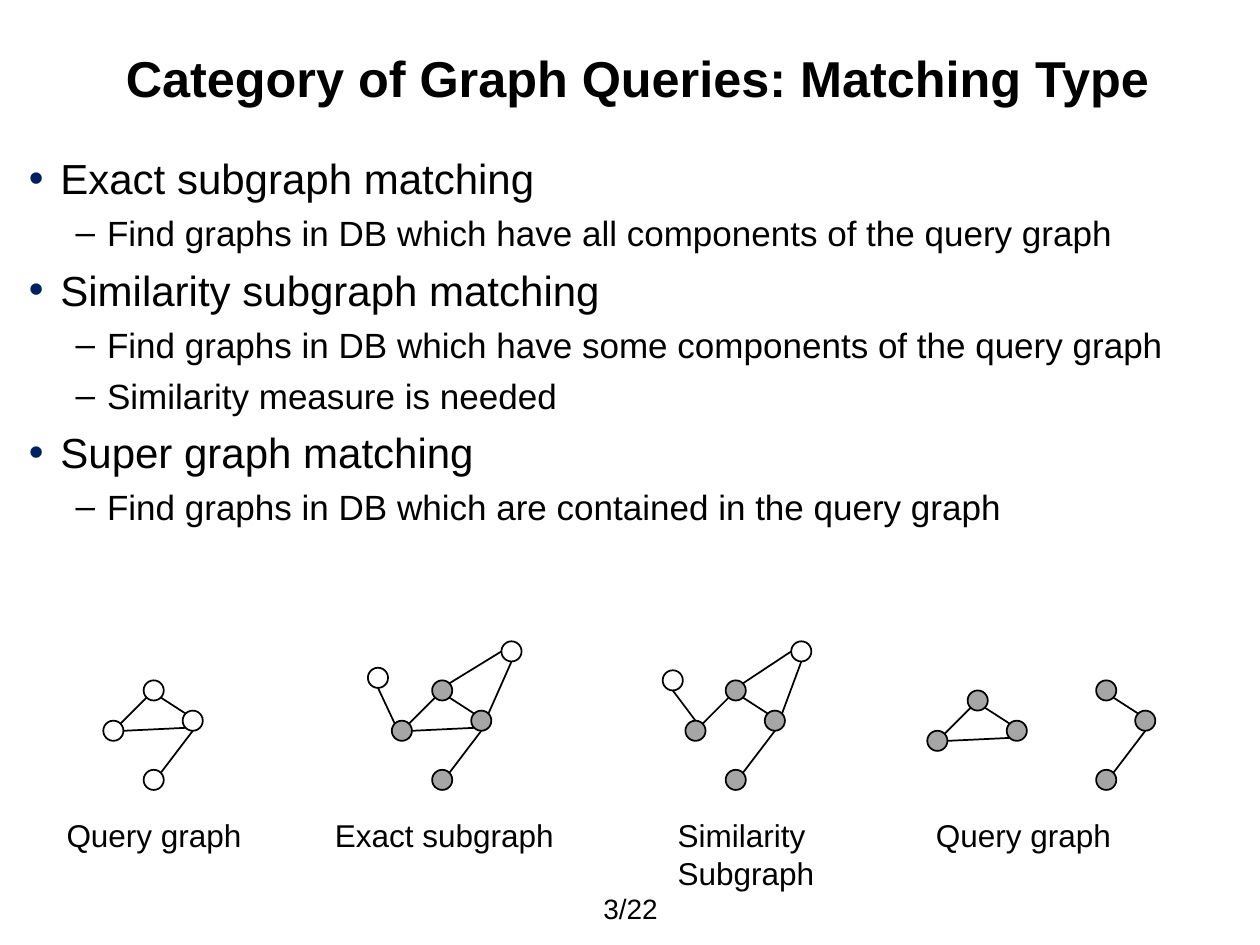
import dataclasses
import pptx
import pptx.dml.color
import pptx.enum.shapes
import pptx.enum.text
import pptx.oxml.ns
import pptx.util
from lxml import etree

Inches = pptx.util.Inches
Pt = pptx.util.Pt
qn = pptx.oxml.ns.qn


@dataclasses.dataclass(frozen=True)
class Theme:
    font: str = "Arial"
    ink: str = "000000"
    gray: str = "A6A6A6"
    navy: str = "002060"
    title: float = 28.8
    head: float = 24
    item: float = 20
    label: float = 18
    page: float = 16
    line: float = 1


THEME = Theme()
SIZE = 0.16
DIAG = 0.5 ** 0.5
PORTS = {
    "n": (0, -1), "s": (0, 1), "e": (1, 0), "w": (-1, 0),
    "ne": (DIAG, -DIAG), "nw": (-DIAG, -DIAG),
    "se": (DIAG, DIAG), "sw": (-DIAG, DIAG),
}

CORE = {"L": (0, 0), "T": (0.32, -0.32), "B": (0.32, 0.39), "R": (0.63, -0.08)}
LEFT, ROOF = "T.sw L.ne", "T.se R.nw"
BASE, TAIL = "L.e R.sw", "B.ne R.s"
FAR = ["T.ne Q.w", "R.ne Q.s"]

GRAPHS = [
    (0.82, 5.72, "", "LTBR", {}, [LEFT, ROOF, BASE, TAIL]),
    (3.11, 5.72, "LTBR", "LTBR", {"P": (-0.19, -0.42), "Q": (0.87, -0.63)},
     [LEFT, ROOF, BASE, TAIL, "P.s L.nw"] + FAR),
    (5.44, 5.72, "LTBR", "LTBR", {"P": (-0.18, -0.4), "Q": (0.84, -0.63)},
     [LEFT, ROOF, TAIL, "P.s L.n"] + FAR),
    (7.36, 5.8, "LTR", "LTR", {}, [LEFT, ROOF, BASE]),
    (8.38, 5.72, "TBR", "TBR", {}, [ROOF, TAIL]),
]

LABELS = [
    (0.43, 1.6, 0.4, ["Query graph"]),
    (2.56, 1.96, 0.4, ["Exact subgraph"]),
    (5.28, 1.3, 0.71, ["Similarity", "Subgraph"]),
    (7.33, 1.6, 0.4, ["Query graph"]),
]

POINTS = [
    (0, "Exact subgraph matching"),
    (1, "Find graphs in DB which have all components of the query graph"),
    (0, "Similarity subgraph matching"),
    (1, "Find graphs in DB which have some components of the query graph"),
    (1, "Similarity measure is needed"),
    (0, "Super graph matching"),
    (1, "Find graphs in DB which are contained in the query graph"),
]


def color(code):
    return pptx.dml.color.RGBColor.from_string(code)


def add_run(para, text, size, bold=False):
    run = para.add_run()
    run.text = text
    run.font.name = THEME.font
    run.font.size = Pt(size)
    run.font.bold = bold
    run.font.color.rgb = color(THEME.ink)


def add_text(slide, box, lines, size, bold=False, wrap=True, middle=False):
    frame = slide.shapes.add_textbox(*map(Inches, box)).text_frame
    frame.word_wrap = wrap
    if middle:
        frame.vertical_anchor = pptx.enum.text.MSO_ANCHOR.MIDDLE
    para = frame.paragraphs[0]
    for index, line in enumerate(lines):
        if index:
            para.add_line_break()
        add_run(para, line, size, bold)


def add_bullet(para, level, mark, tint):
    props = para._p.get_or_add_pPr()
    props.set("marL", str(Inches((0.25, 0.62)[level])))
    props.set("indent", str(Inches(-0.25)))
    fill = etree.SubElement(props, qn("a:buClr"))
    etree.SubElement(fill, qn("a:srgbClr"), val=tint)
    etree.SubElement(props, qn("a:buFont"), typeface=THEME.font)
    etree.SubElement(props, qn("a:buChar"), char=mark)


def add_points(slide):
    frame = slide.shapes.add_textbox(
        Inches(0.23), Inches(1.17), Inches(9.53), Inches(3.13)).text_frame
    frame.word_wrap = True
    frame.margin_left = frame.margin_right = frame.margin_bottom = 0
    frame.margin_top = Inches(0.04)
    styles = [("•", THEME.navy, THEME.head, 6), ("–", THEME.ink, THEME.item, 5)]
    for index, (level, text) in enumerate(POINTS):
        mark, tint, size, gap = styles[level]
        para = frame.add_paragraph() if index else frame.paragraphs[0]
        para.level = level
        add_bullet(para, level, mark, tint)
        if index:
            para.space_before = Pt(gap)
        add_run(para, text, size)


def set_line(shape):
    shape.line.color.rgb = color(THEME.ink)
    shape.line.width = Pt(THEME.line)


def add_node(slide, left, top, full):
    node = slide.shapes.add_shape(
        pptx.enum.shapes.MSO_SHAPE.OVAL,
        Inches(left), Inches(top), Inches(SIZE), Inches(SIZE))
    node.shadow.inherit = False
    if full:
        node.fill.solid()
        node.fill.fore_color.rgb = color(THEME.gray)
    else:
        node.fill.background()
    set_line(node)


def add_edge(slide, start, end):
    edge = slide.shapes.add_connector(
        pptx.enum.shapes.MSO_CONNECTOR.STRAIGHT, *map(Inches, start + end))
    set_line(edge)
    etree.SubElement(edge._element.spPr, qn("a:effectLst"))


def find_port(nodes, name):
    key, side = name.split(".")
    half = SIZE / 2
    return tuple(pos + half + half * step
                 for pos, step in zip(nodes[key], PORTS[side]))


def add_graph(slide, left, top, full, core, extra, edges):
    spots = {key: CORE[key] for key in core} | extra
    nodes = {key: (left + x, top + y) for key, (x, y) in spots.items()}
    for key, spot in nodes.items():
        add_node(slide, *spot, key in full)
    for edge in edges:
        start, end = edge.split()
        add_edge(slide, find_port(nodes, start), find_port(nodes, end))


def main():
    deck = pptx.Presentation()
    deck.slide_width, deck.slide_height = Inches(10), Inches(7.5)
    slide = deck.slides.add_slide(deck.slide_layouts[6])
    add_text(slide, (0.9, 0.29, 8.9, 0.64),
             ["Category of Graph Queries: Matching Type"],
             THEME.title, bold=True, middle=True)
    add_points(slide)
    for graph in GRAPHS:
        add_graph(slide, *graph)
    for left, width, height, lines in LABELS:
        add_text(slide, (left, 6.43, width, height), lines,
                 THEME.label, wrap=False)
    add_text(slide, (4.69, 7.06, 0.86, 0.29), ["3/22"], THEME.page, middle=True)
    deck.save("out.pptx")


if __name__ == "__main__":
    main()
